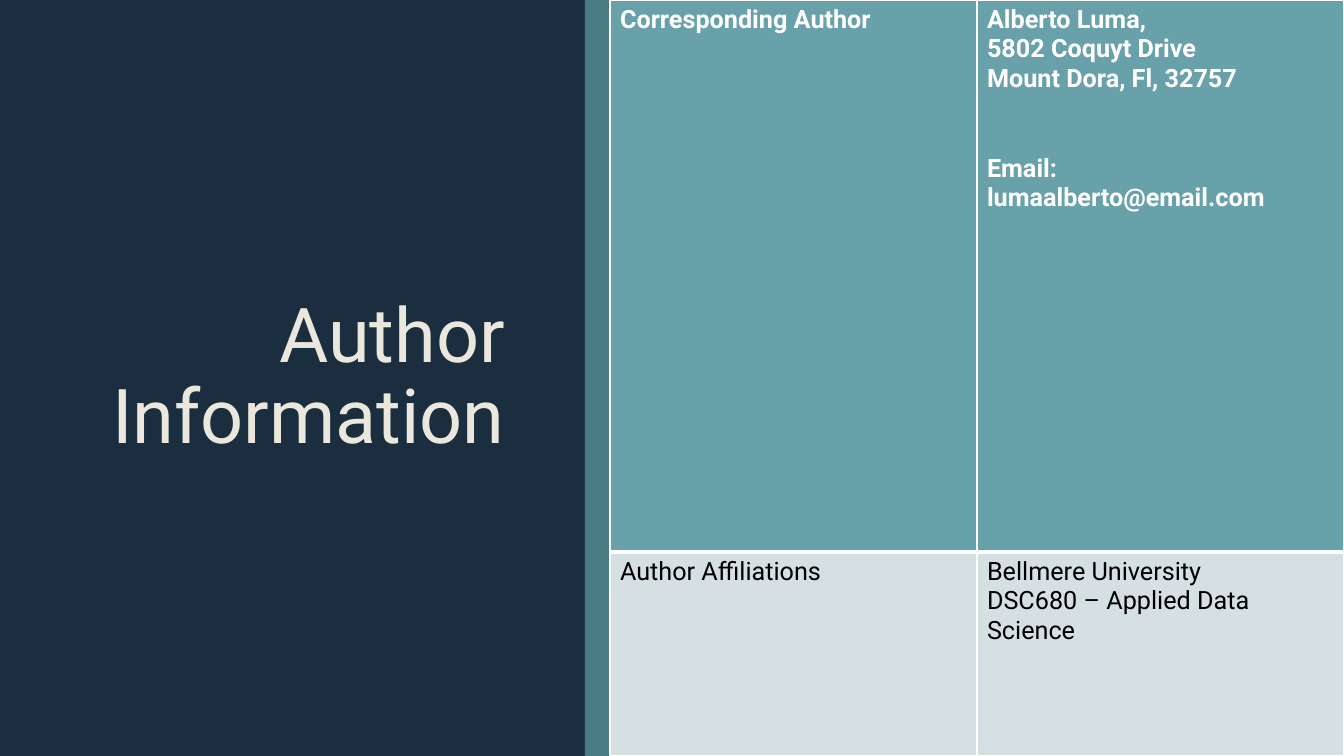
"""Build the author information slide."""
from dataclasses import dataclass

from lxml.etree import SubElement
from pptx import Presentation
from pptx.dml.color import RGBColor as Color
from pptx.enum.shapes import MSO_SHAPE as Shape
from pptx.enum.text import MSO_ANCHOR as Anchor, MSO_AUTO_SIZE as AutoSize, PP_ALIGN as Align
from pptx.oxml.ns import qn
from pptx.util import Pt

TITLE = "Author Information"
ROWS = [
    (
        ["Corresponding Author"],
        ["Alberto Luma,", "5802 Coquyt Drive", "Mount Dora, Fl, 32757",
         "Email: lumaalberto@email.com"],
    ),
    (
        ["Author Affiliations"],
        ["Bellmere University", "DSC680 – Applied Data Science"],
    ),
]

WIDTH, HEIGHT = 1344, 756
PANEL_WIDTH, STRIP_WIDTH = 585, 25
TITLE_BOX = (71, 88, 444, 581)
HEADER_HEIGHT = 552


@dataclass(frozen=True)
class Theme:
    font: str = "Roboto"
    title_size: int = 54
    body_size: int = 18
    email_gap: int = 43
    cream: str = "EBE7DD"
    navy: str = "1A2E40"
    strip: str = "4A7C85"
    header: str = "69A1AB"
    body: str = "D4E0E2"
    white: str = "FFFFFF"
    black: str = "000000"
    thin: int = 1
    thick: int = 3


THEME = Theme()


def emu(pixels):
    return round(pixels * 914400 / 100.8)


def paint(fill, color):
    fill.solid()
    fill.fore_color.rgb = Color.from_string(color)


def add_run(paragraph, text, size, color, bold=False):
    run = paragraph.add_run()
    run.text = text
    run.font.name = THEME.font
    run.font.size = Pt(size)
    run.font.bold = bold
    run.font.color.rgb = Color.from_string(color)


def add_panel(slide, left, width, color):
    panel = slide.shapes.add_shape(Shape.RECTANGLE, emu(left), 0, emu(width), emu(HEIGHT))
    panel.shadow.inherit = False
    paint(panel.fill, color)
    panel.line.fill.background()


def add_title(slide):
    title = slide.shapes.title
    title.left, title.top, title.width, title.height = map(emu, TITLE_BOX)
    title.element.getparent().append(title.element)
    frame = title.text_frame
    frame.word_wrap = True
    frame.auto_size = AutoSize.NONE
    frame.vertical_anchor = Anchor.MIDDLE
    paragraph = frame.paragraphs[0]
    paragraph.alignment = Align.RIGHT
    paragraph.line_spacing = 0.89
    add_run(paragraph, TITLE, THEME.title_size, THEME.cream)


def set_borders(cell, widths):
    properties = cell._tc.get_or_add_tcPr()
    for position, (side, width) in enumerate(widths.items()):
        line = SubElement(properties, qn(f"a:ln{side}"), w=str(Pt(width)))
        fill = SubElement(line, qn("a:solidFill"))
        SubElement(fill, qn("a:srgbClr"), val=THEME.white)
        properties.insert(position, line)


def fill_cell(cell, lines, is_header):
    frame = cell.text_frame
    for index, text in enumerate(lines):
        paragraph = frame.add_paragraph() if index else frame.paragraphs[0]
        if text.startswith("Email"):
            paragraph.space_before = Pt(THEME.email_gap)
        color = THEME.white if is_header else THEME.black
        add_run(paragraph, text, THEME.body_size, color, is_header)
    paint(cell.fill, THEME.header if is_header else THEME.body)
    top, bottom = (THEME.thin, THEME.thick) if is_header else (THEME.thick, THEME.thin)
    set_borders(cell, {"L": THEME.thin, "R": THEME.thin, "T": top, "B": bottom})


def add_author_table(slide):
    left = PANEL_WIDTH + STRIP_WIDTH
    width = WIDTH - left
    table = slide.shapes.add_table(
        len(ROWS), len(ROWS[0]), emu(left), 0, emu(width), emu(HEIGHT)
    ).table
    for column in table.columns:
        column.width = emu(width / len(ROWS[0]))
    for row, height in zip(table.rows, (HEADER_HEIGHT, HEIGHT - HEADER_HEIGHT)):
        row.height = emu(height)
    for row_index, row in enumerate(ROWS):
        for column_index, lines in enumerate(row):
            fill_cell(table.cell(row_index, column_index), lines, row_index == 0)


presentation = Presentation()
presentation.slide_width, presentation.slide_height = emu(WIDTH), emu(HEIGHT)
slide = presentation.slides.add_slide(presentation.slide_layouts[5])
paint(slide.background.fill, THEME.cream)
add_panel(slide, 0, PANEL_WIDTH, THEME.navy)
add_title(slide)
add_panel(slide, PANEL_WIDTH, STRIP_WIDTH, THEME.strip)
add_author_table(slide)
presentation.save("out.pptx")
